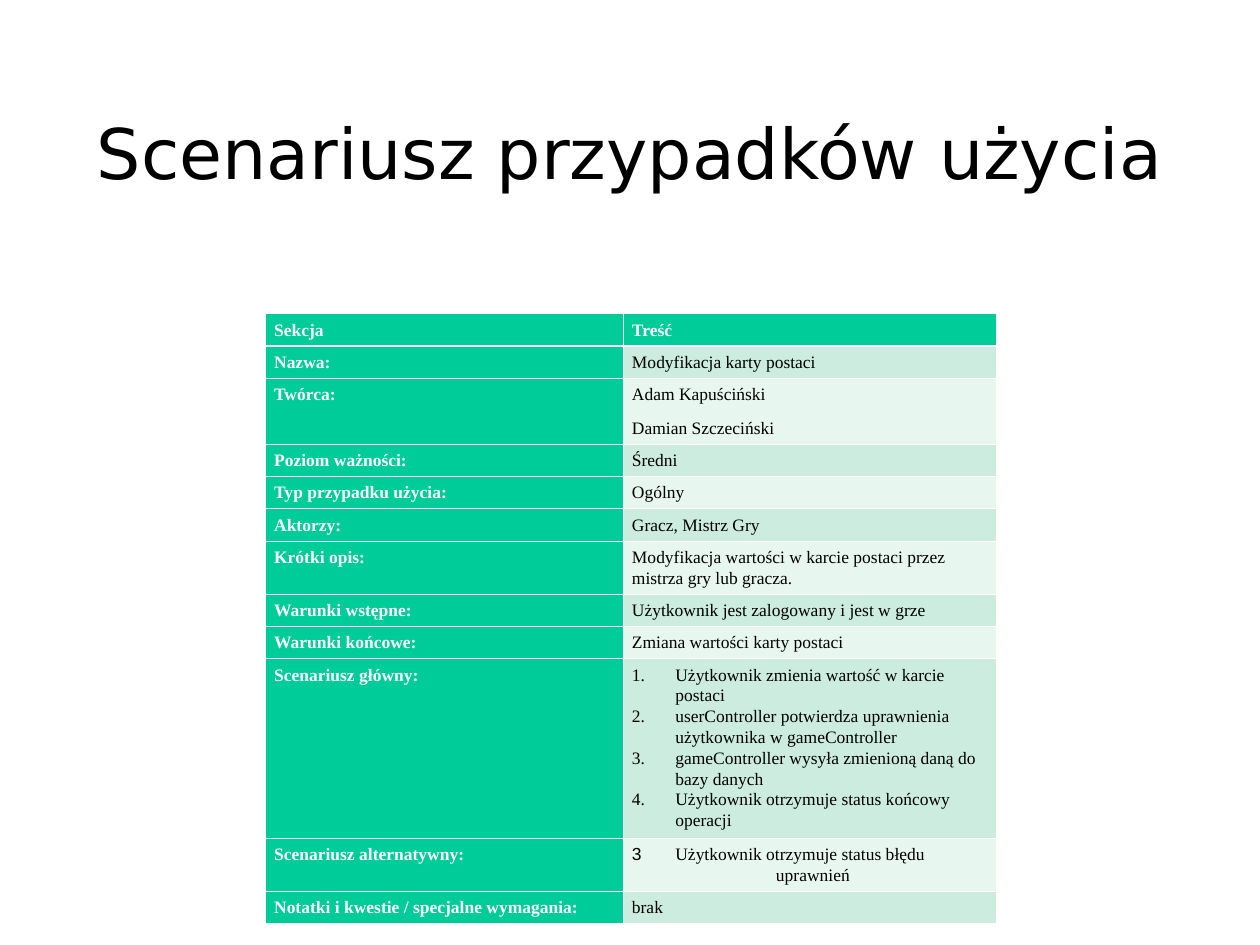
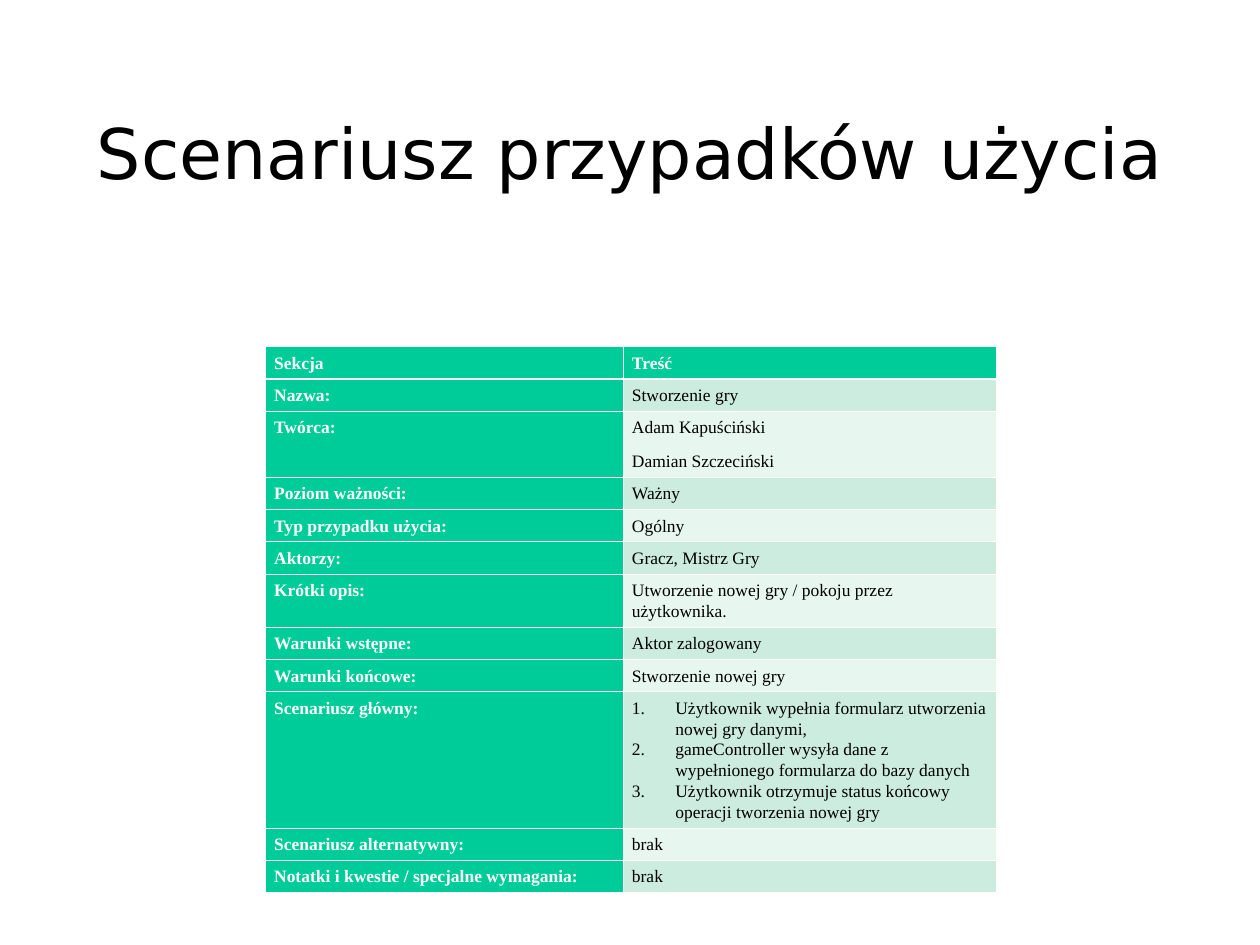
from dataclasses import dataclass

from lxml.etree import SubElement
from pptx import Presentation
from pptx.dml.color import RGBColor
from pptx.enum.text import MSO_ANCHOR, MSO_AUTO_SIZE, PP_ALIGN
from pptx.oxml.ns import qn
from pptx.slide import Slide
from pptx.table import _Cell
from pptx.text.text import _Paragraph
from pptx.util import Pt

COLOURS = {
    "accent": "00CC99",
    "band_dark": "CBECDE",
    "band_light": "E7F6EF",
    "paper": "FFFFFF",
    "ink": "000000",
}
TITLE = "Scenariusz przypadków użycia"
TITLE_FONT = "DejaVu Sans"
TABLE_FONT = "Times New Roman"
BULLET_FONT = "Arial"
TABLE_LEFT = 167.3
COLUMN_WIDTHS = (225.4, 234.8)
ONE_LINE, TWO_LINES, TWO_NAMES = 20.3, 33.4, 41.6
LIST_INDENT = 27.36
THIN, THICK = 0.45, 1.47

LABELS = (
    "Sekcja", "Nazwa:", "Twórca:", "Poziom ważności:", "Typ przypadku użycia:",
    "Aktorzy:", "Krótki opis:", "Warunki wstępne:", "Warunki końcowe:",
    "Scenariusz główny:", "Scenariusz alternatywny:",
    "Notatki i kwestie / specjalne wymagania:",
)


@dataclass(frozen=True)
class Line:
    text: str
    indent: float = 0
    numbered: bool = False
    bullet: str = ""


@dataclass(frozen=True)
class Entry:
    lines: tuple[Line, ...]
    height: float = ONE_LINE
    space_between: float = 0


@dataclass(frozen=True)
class UseCase:
    top: float
    entries: tuple[Entry, ...]


def plain(text: str, height: float = ONE_LINE) -> Entry:
    return Entry((Line(text),), height)


def steps(height: float, *texts: str) -> Entry:
    return Entry(tuple(Line(text, LIST_INDENT, numbered=True) for text in texts), height)


HEADING = plain("Treść")
AUTHORS = Entry((Line("Adam Kapuściński"), Line("Damian Szczeciński")), TWO_NAMES, 8)
NOTHING = plain("brak")

USE_CASES = (
    UseCase(197.5, (
        HEADING,
        plain("Modyfikacja karty postaci"),
        AUTHORS,
        plain("Średni"),
        plain("Ogólny"),
        plain("Gracz, Mistrz Gry"),
        plain("Modyfikacja wartości w karcie postaci przez mistrza gry lub gracza.", TWO_LINES),
        plain("Użytkownik jest zalogowany i jest w grze"),
        plain("Zmiana wartości karty postaci"),
        steps(
            113.3,
            "Użytkownik zmienia wartość w karcie postaci",
            "userController potwierdza uprawnienia użytkownika w gameController",
            "gameController wysyła zmienioną daną do bazy danych",
            "Użytkownik otrzymuje status końcowy operacji",
        ),
        Entry((
            Line("Użytkownik otrzymuje status błędu", LIST_INDENT, bullet="3"),
            Line("uprawnień", 90.7),
        ), TWO_LINES),
        NOTHING,
    )),
    UseCase(218.4, (
        HEADING,
        plain("Stworzenie gry"),
        AUTHORS,
        plain("Ważny"),
        plain("Ogólny"),
        plain("Gracz, Mistrz Gry"),
        plain("Utworzenie nowej gry / pokoju przez użytkownika.", TWO_LINES),
        plain("Aktor zalogowany"),
        plain("Stworzenie nowej gry"),
        steps(
            85.6,
            "Użytkownik wypełnia formularz utworzenia nowej gry danymi,",
            "gameController wysyła dane z wypełnionego formularza do bazy danych",
            "Użytkownik otrzymuje status końcowy operacji tworzenia nowej gry",
        ),
        NOTHING,
        NOTHING,
    )),
)


def rgb(colour: str) -> RGBColor:
    return RGBColor.from_string(COLOURS[colour])


def add_run(paragraph: _Paragraph, text: str, font: str, size: float,
            colour: str, bold: bool = False) -> None:
    run = paragraph.add_run()
    run.text = text
    run.font.name = font
    run.font.size = Pt(size)
    run.font.bold = bold
    run.font.color.rgb = rgb(colour)


def indent_line(paragraph: _Paragraph, line: Line) -> None:
    """Set the left indent and, for list items, the hanging number or bullet."""
    properties = paragraph._p.get_or_add_pPr()
    properties.set("marL", str(Pt(line.indent)))
    if not (line.numbered or line.bullet):
        properties.set("indent", "0")
        SubElement(properties, qn("a:buNone"))
        return
    properties.set("indent", str(-Pt(line.indent)))
    bullet_colour = SubElement(properties, qn("a:buClr"))
    SubElement(bullet_colour, qn("a:srgbClr"), val=COLOURS["ink"])
    if line.numbered:
        SubElement(properties, qn("a:buFont"), typeface=TABLE_FONT)
        SubElement(properties, qn("a:buAutoNum"), type="arabicPeriod")
    else:
        SubElement(properties, qn("a:buFont"), typeface=BULLET_FONT)
        SubElement(properties, qn("a:buChar"), char=line.bullet)


def set_borders(cell: _Cell, row: int) -> None:
    """Draw white rules, with a thicker one under the heading row."""
    widths = {
        "a:lnL": THIN,
        "a:lnR": THIN,
        "a:lnT": THICK if row == 1 else THIN,
        "a:lnB": THICK if row == 0 else THIN,
    }
    properties = cell._tc.get_or_add_tcPr()
    for position, (side, width) in enumerate(widths.items()):
        border = SubElement(properties, qn(side), w=str(Pt(width)))
        fill = SubElement(border, qn("a:solidFill"))
        SubElement(fill, qn("a:srgbClr"), val=COLOURS["paper"])
        properties.insert(position, border)


def fill_cell(cell: _Cell, entry: Entry, row: int, strong: bool) -> None:
    cell.margin_left = cell.margin_right = Pt(5.4)
    cell.margin_top = cell.margin_bottom = Pt(3.6)
    cell.vertical_anchor = MSO_ANCHOR.TOP
    band = "band_dark" if row % 2 else "band_light"
    cell.fill.solid()
    cell.fill.fore_color.rgb = rgb("accent" if strong else band)
    set_borders(cell, row)
    frame = cell.text_frame
    for index, line in enumerate(entry.lines):
        paragraph = frame.add_paragraph() if index else frame.paragraphs[0]
        is_last = index == len(entry.lines) - 1
        paragraph.line_spacing = 1.07
        paragraph.space_after = Pt(8 if is_last else entry.space_between)
        if line.indent:
            indent_line(paragraph, line)
        add_run(paragraph, line.text, TABLE_FONT, 11, "paper" if strong else "ink", strong)


def add_title(slide: Slide) -> None:
    title = slide.shapes.title
    title.left, title.top, title.width, title.height = map(Pt, (58.3, 45.4, 677.5, 108.4))
    frame = title.text_frame
    frame.auto_size = MSO_AUTO_SIZE.NONE
    frame.word_wrap = True
    frame.vertical_anchor = MSO_ANCHOR.MIDDLE
    frame.margin_left = frame.margin_right = frame.margin_top = frame.margin_bottom = Pt(0)
    paragraph = frame.paragraphs[0]
    paragraph.alignment = PP_ALIGN.CENTER
    paragraph.line_spacing = Pt(44.1)
    add_run(paragraph, TITLE, TITLE_FONT, 44, "ink")


def add_use_case_table(slide: Slide, use_case: UseCase) -> None:
    height = sum(entry.height for entry in use_case.entries)
    table = slide.shapes.add_table(
        len(LABELS), len(COLUMN_WIDTHS), Pt(TABLE_LEFT), Pt(use_case.top),
        Pt(sum(COLUMN_WIDTHS)), Pt(height),
    ).table
    table.first_col = True
    for column, width in zip(table.columns, COLUMN_WIDTHS):
        column.width = Pt(width)
    for row, (label, entry) in enumerate(zip(LABELS, use_case.entries)):
        table.rows[row].height = Pt(entry.height)
        fill_cell(table.cell(row, 0), plain(label), row, strong=True)
        fill_cell(table.cell(row, 1), entry, row, strong=row == 0)


def main() -> None:
    presentation = Presentation()
    presentation.slide_width = Pt(793.7)
    presentation.slide_height = Pt(595.3)
    title_only = presentation.slide_layouts[5]
    for use_case in USE_CASES:
        slide = presentation.slides.add_slide(title_only)
        add_title(slide)
        add_use_case_table(slide, use_case)
    presentation.save("out.pptx")


if __name__ == "__main__":
    main()
